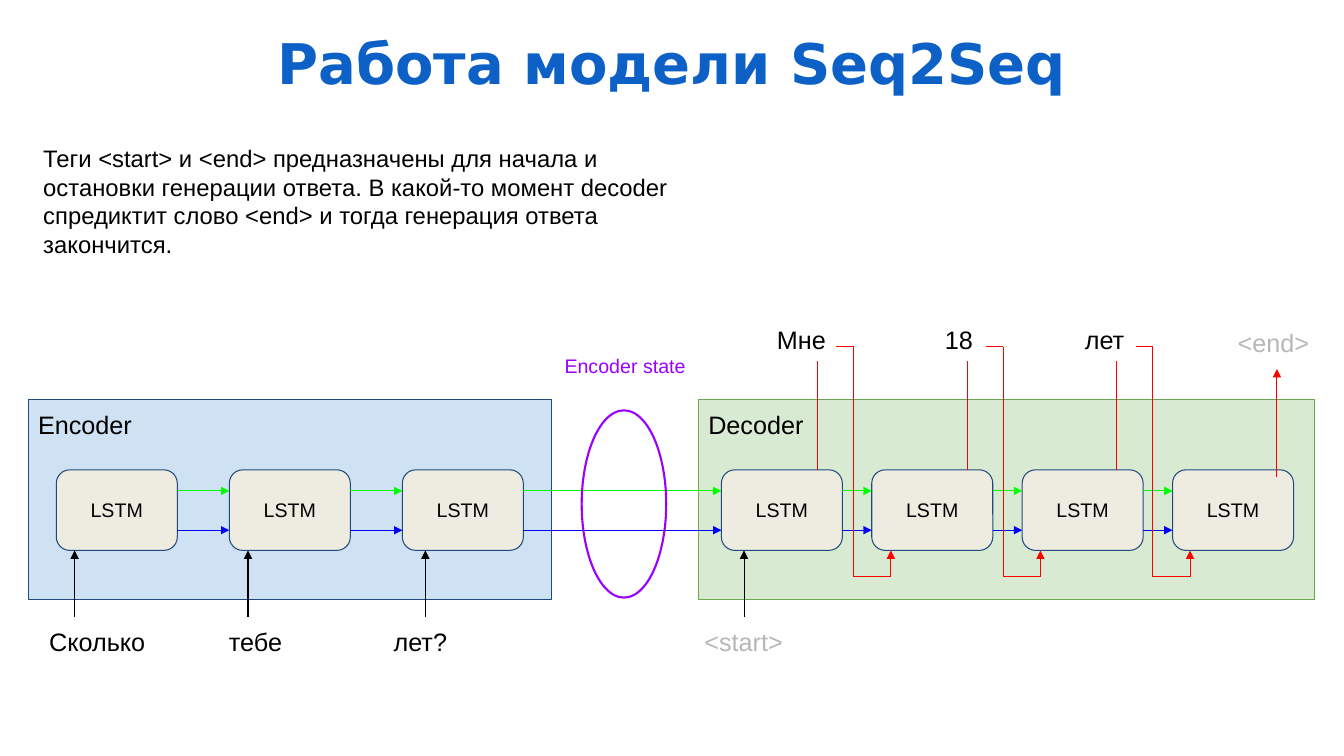
from itertools import pairwise

from lxml.etree import SubElement
from pptx import Presentation
from pptx.dml.color import RGBColor
from pptx.enum.shapes import MSO_CONNECTOR as Connector, MSO_SHAPE as Shape
from pptx.enum.text import MSO_ANCHOR as Anchor, MSO_AUTO_SIZE as AutoSize, PP_ALIGN as Align
from pptx.oxml.ns import qn
from pptx.util import Cm, Pt

COLORS = {
    "title": "0C60C6",
    "text": "000000",
    "muted": "B7B7B7",
    "encoder": "CFE2F3",
    "decoder": "D9EAD3",
    "cell": "EEECE1",
    "navy": "1F497D",
    "leaf": "6AA84F",
    "green": "00FF00",
    "blue": "0000FF",
    "red": "FF0000",
    "violet": "9900FF",
}
CELL_TOP, CELL_WIDTH, CELL_HEIGHT = 11.84, 3.05, 2.03
CELL_BOTTOM = CELL_TOP + CELL_HEIGHT
ENCODER_CELLS = [1.42 + 4.36 * i for i in range(3)]
DECODER_CELLS = [18.18 + 3.79 * i for i in range(4)]
INPUT_ARROWS = [1.88, 6.25, 10.72, 18.75]
INPUT_TOP = 15.54
OUTPUT_STEP = 3.77


def rgb(name):
    return RGBColor.from_string(COLORS[name])


def write(box, text, size=18, color="text", font="Arial", bold=False,
          align=Align.LEFT, anchor=Anchor.TOP, inset=0.25, tabs=()):
    frame = box.text_frame
    frame.word_wrap = True
    frame.vertical_anchor = anchor
    frame.margin_left = frame.margin_right = Cm(0.25)
    frame.margin_top = frame.margin_bottom = Cm(inset)
    para = frame.paragraphs[0]
    para.alignment = align
    if tabs:
        stops = SubElement(para._p.get_or_add_pPr(), qn("a:tabLst"))
        for stop in tabs:
            SubElement(stops, qn("a:tab"), pos=str(Cm(stop)), algn="l")
    span = para.add_run()
    span.text = text
    span.font.name = font
    span.font.size = Pt(size)
    span.font.bold = bold
    span.font.color.rgb = rgb(color)


def add_text(page, place, text, grow=True, **style):
    box = page.shapes.add_textbox(*map(Cm, place))
    write(box, text, **style)
    if grow:
        box.text_frame.auto_size = AutoSize.SHAPE_TO_FIT_TEXT


def add_block(page, kind, place, line, fill=None, width=0.75):
    block = page.shapes.add_shape(kind, *map(Cm, place))
    block.shadow.inherit = False
    if fill:
        block.fill.solid()
        block.fill.fore_color.rgb = rgb(fill)
    else:
        block.fill.background()
    block.line.color.rgb = rgb(line)
    block.line.width = Pt(width)
    return block


def add_line(page, start, end, color, arrow=False):
    line = page.shapes.add_connector(Connector.STRAIGHT, *map(Cm, (*start, *end)))
    line.line.color.rgb = rgb(color)
    line.line.width = Pt(0.75)
    if arrow:
        SubElement(line.line._get_or_add_ln(), qn("a:tailEnd"), type="triangle")
    SubElement(line._element.spPr, qn("a:effectLst"))


def add_cell(page, left):
    cell = add_block(page, Shape.ROUNDED_RECTANGLE,
                     (left, CELL_TOP, CELL_WIDTH, CELL_HEIGHT), "navy", "cell")
    write(cell, "LSTM", size=14, align=Align.CENTER, anchor=Anchor.MIDDLE)


def add_feedback(page, left):
    top, bottom, right = 8.74, 14.53, left + 0.94
    corners = [(left - 0.43, top), (left, top), (left, bottom), (right, bottom)]
    for start, end in pairwise(corners):
        add_line(page, start, end, "red")
    add_line(page, corners[-1], (right, CELL_BOTTOM), "red", arrow=True)


def main():
    deck = Presentation()
    deck.slide_width, deck.slide_height = Cm(33.87), Cm(19.05)
    page = deck.slides.add_slide(deck.slide_layouts[6])

    add_text(page, (1.37, 0.74, 31.12, 1.8), "Работа модели Seq2Seq", grow=False,
             size=40, color="title", font="DejaVu Sans", bold=True,
             align=Align.CENTER, anchor=Anchor.BOTTOM, inset=0.13)
    add_text(page, (0.84, 3.38, 16.61, 3.43),
             "Теги <start> и <end> предназначены для начала и остановки генерации "
             "ответа. В какой-то момент decoder спредиктит слово <end> и тогда "
             "генерация ответа закончится.", size=17)

    for name, left, width, line in (("Encoder", 0.71, 13.18, "navy"),
                                    ("Decoder", 17.6, 15.54, "leaf")):
        panel = add_block(page, Shape.RECTANGLE, (left, 10.06, width, 5.05),
                          line, name.lower())
        write(panel, name)

    cells = ENCODER_CELLS + DECODER_CELLS
    for left in cells:
        add_cell(page, left)
    for left, following in pairwise(cells):
        for height, color in ((12.37, "green"), (13.36, "blue")):
            add_line(page, (left + CELL_WIDTH, height), (following, height),
                     color, arrow=True)

    for left in INPUT_ARROWS:
        add_line(page, (left, INPUT_TOP), (left, CELL_BOTTOM), "text", arrow=True)
    for i in range(3):
        output = 20.6 + OUTPUT_STEP * i
        add_line(page, (output, 9.1), (output, CELL_TOP), "red")
        add_feedback(page, 21.51 + OUTPUT_STEP * i)
    add_line(page, (32.18, 12.01), (32.18, 9.3), "red", arrow=True)

    add_block(page, Shape.OVAL, (14.66, 10.34, 2.13, 4.72), "violet", width=1.5)
    add_text(page, (13.89, 8.66, 3.73, 1.12), "Encoder state", size=14,
             color="violet", align=Align.CENTER)
    add_text(page, (0.99, INPUT_TOP, 13.18, 1.27), "Сколько\tтебе\tлет?",
             tabs=(4.53, 8.68))
    add_text(page, (19.33, 7.92, 10.24, 1.27), "Мне\t18\tлет", tabs=(4.23, 7.76))
    add_text(page, (17.32, INPUT_TOP, 2.84, 1.27), "<start>", color="muted",
             align=Align.CENTER)
    add_text(page, (30.94, 8, 2.84, 1.27), "<end>", color="muted")

    deck.save("out.pptx")


if __name__ == "__main__":
    main()
